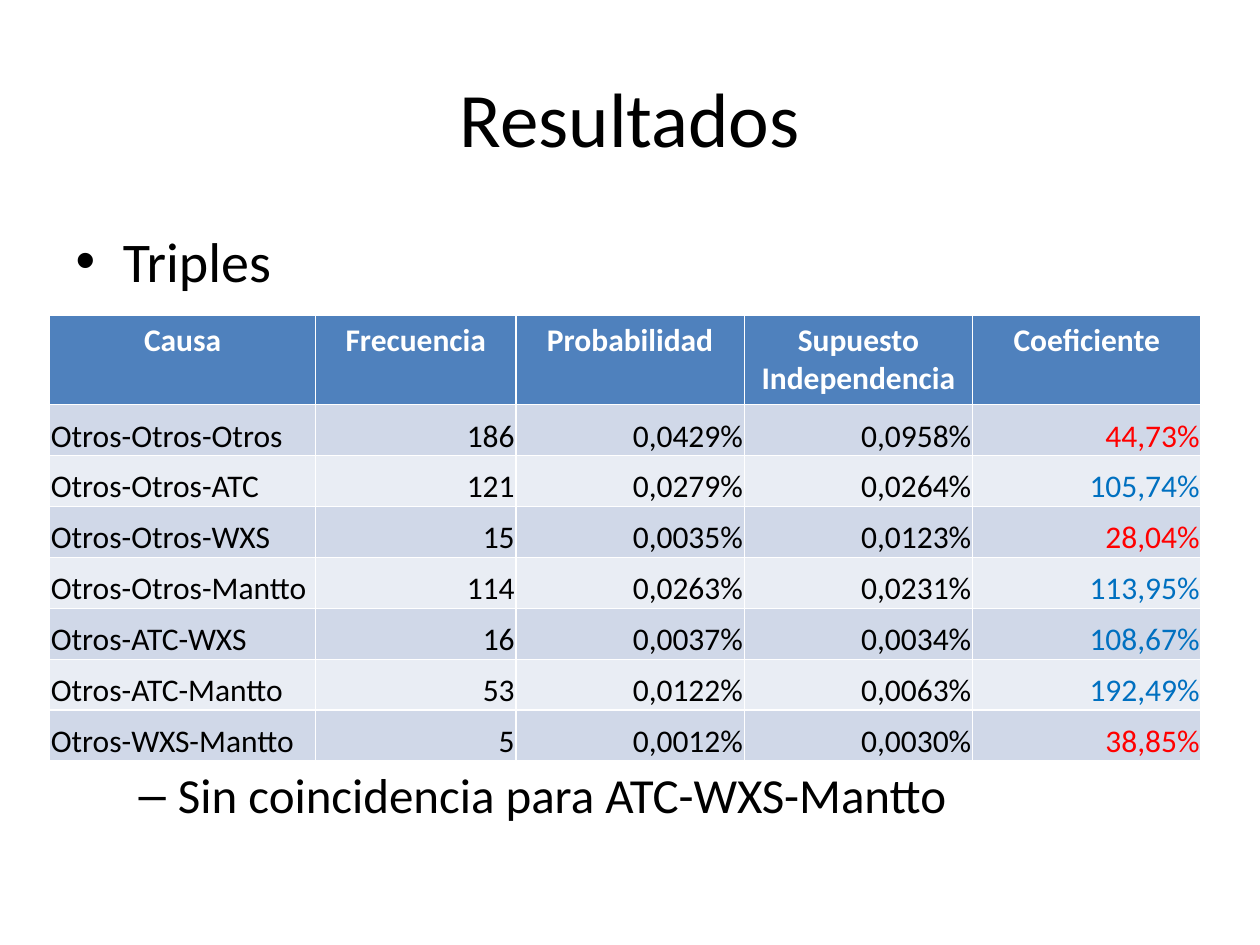
import pptx
import pptx.util
import pptx.dml.color
import pptx.enum.text

Pt = pptx.util.Pt
Align = pptx.enum.text.PP_ALIGN
Anchor = pptx.enum.text.MSO_ANCHOR

# Content
TITLE = "Resultados"
POINTS = [("Triples", 0, 32, None),  # text, level, size, space before
          ("Sin coincidencia para ATC-WXS-Mantto", 1, 28, 269)]
HEADS = ["Causa", "Frecuencia", "Probabilidad", "Supuesto Independencia",
         "Coeficiente"]
ROWS = [
    ("Otros-Otros-Otros", "186", "0,0429%", "0,0958%", "44,73%"),
    ("Otros-Otros-ATC", "121", "0,0279%", "0,0264%", "105,74%"),
    ("Otros-Otros-WXS", "15", "0,0035%", "0,0123%", "28,04%"),
    ("Otros-Otros-Mantto", "114", "0,0263%", "0,0231%", "113,95%"),
    ("Otros-ATC-WXS", "16", "0,0037%", "0,0034%", "108,67%"),
    ("Otros-ATC-Mantto", "53", "0,0122%", "0,0063%", "192,49%"),
    ("Otros-WXS-Mantto", "5", "0,0012%", "0,0030%", "38,85%"),
]
WIDTHS = [152, 114.5, 130.5, 130.5, 130.5]
HEAD_H, ROW_H = 51, 29.13
BANDS = ["D0D8E8", "E9EDF4"]


def color(code):
    return pptx.dml.color.RGBColor.from_string(code)


def style(para, size, code, bold=False):
    font = para.font
    font.name, font.size, font.bold = "Calibri", Pt(size), bold
    font.color.rgb = color(code)


def place(shape, left, top, width, height):
    shape.left, shape.top = Pt(left), Pt(top)
    shape.width, shape.height = Pt(width), Pt(height)


def fill(cell, text, code):
    cell.text = text
    cell.fill.solid()
    cell.fill.fore_color.rgb = color(code)
    return cell.text_frame.paragraphs[0]


deck = pptx.Presentation()
deck.slide_width, deck.slide_height = Pt(720), Pt(540)
slide = deck.slides.add_slide(deck.slide_layouts[1])

# Title and list
title, body = slide.placeholders
place(title, 36, 21.6, 648, 90)
title.text_frame.text = TITLE
style(title.text_frame.paragraphs[0], 44, "000000")

place(body, 36, 126, 648, 414)
frame = body.text_frame
frame.text = "\n".join(point[0] for point in POINTS)
for para, (_, level, size, gap) in zip(frame.paragraphs, POINTS):
    para.level = level
    style(para, size, "000000")
    if gap:
        para.space_before = Pt(gap)

# Table
table = slide.shapes.add_table(
    len(ROWS) + 1, len(HEADS), Pt(28.35), Pt(180), Pt(sum(WIDTHS)),
    Pt(HEAD_H + ROW_H * len(ROWS))).table
for col, width in zip(table.columns, WIDTHS):
    col.width = Pt(width)
for num, row in enumerate(table.rows):
    row.height = Pt(ROW_H if num else HEAD_H)

for c, text in enumerate(HEADS):
    para = fill(table.cell(0, c), text, "4F81BD")
    para.alignment = Align.CENTER
    style(para, 18, "FFFFFF", True)

for r, row in enumerate(ROWS):
    # Coefficients under 100% are red, the others blue
    ratio = float(row[-1].rstrip("%").replace(",", "."))
    mark = "FF0000" if ratio < 100 else "0070C0"
    for c, text in enumerate(row):
        cell = table.cell(r + 1, c)
        para = fill(cell, text, BANDS[r % 2])
        para.alignment = Align.RIGHT if c else Align.LEFT
        style(para, 18, mark if c == len(row) - 1 else "000000")
        cell.vertical_anchor = Anchor.BOTTOM
        cell.margin_left = cell.margin_right = cell.margin_top = Pt(0.75)
        cell.margin_bottom = Pt(0)

deck.save("out.pptx")
